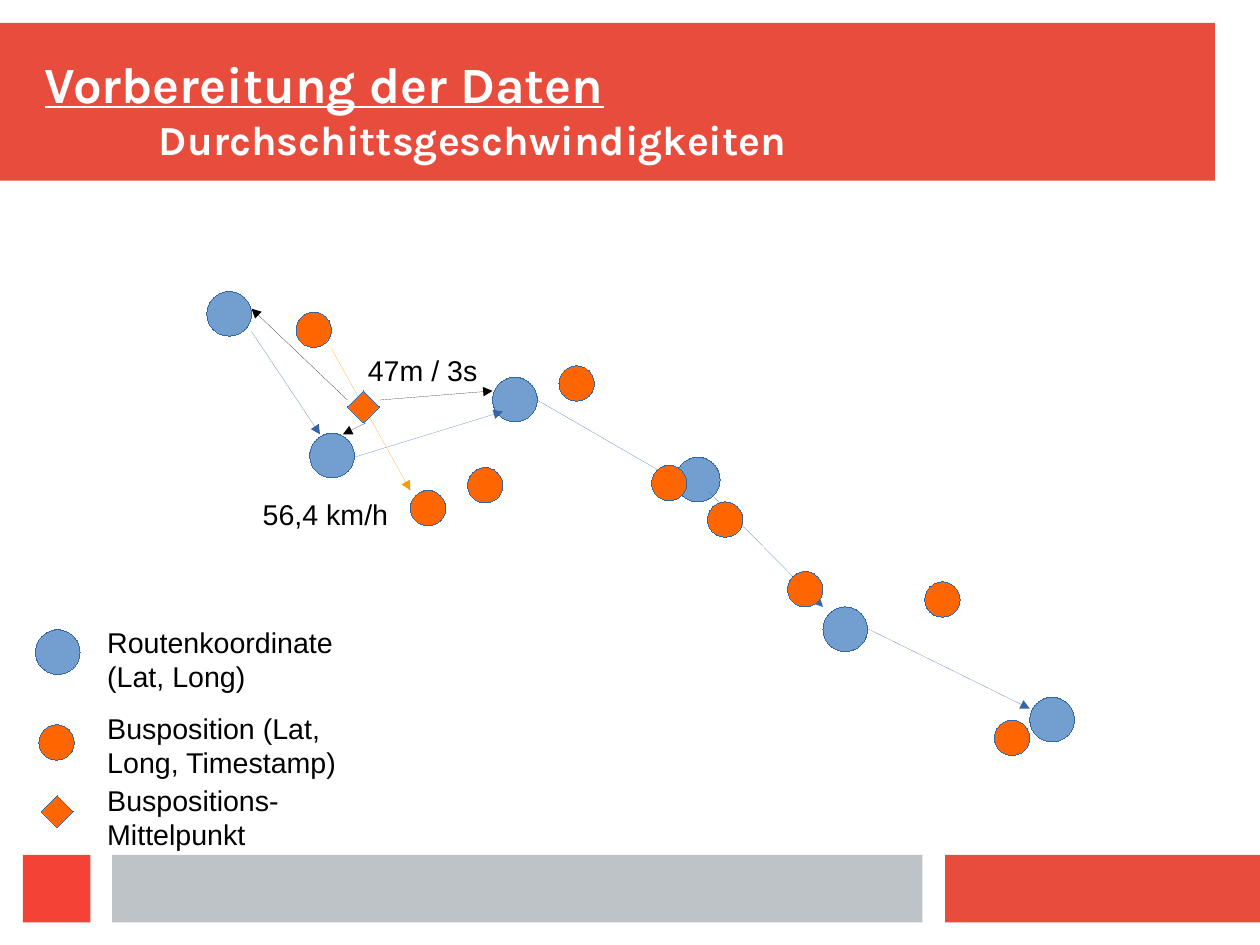
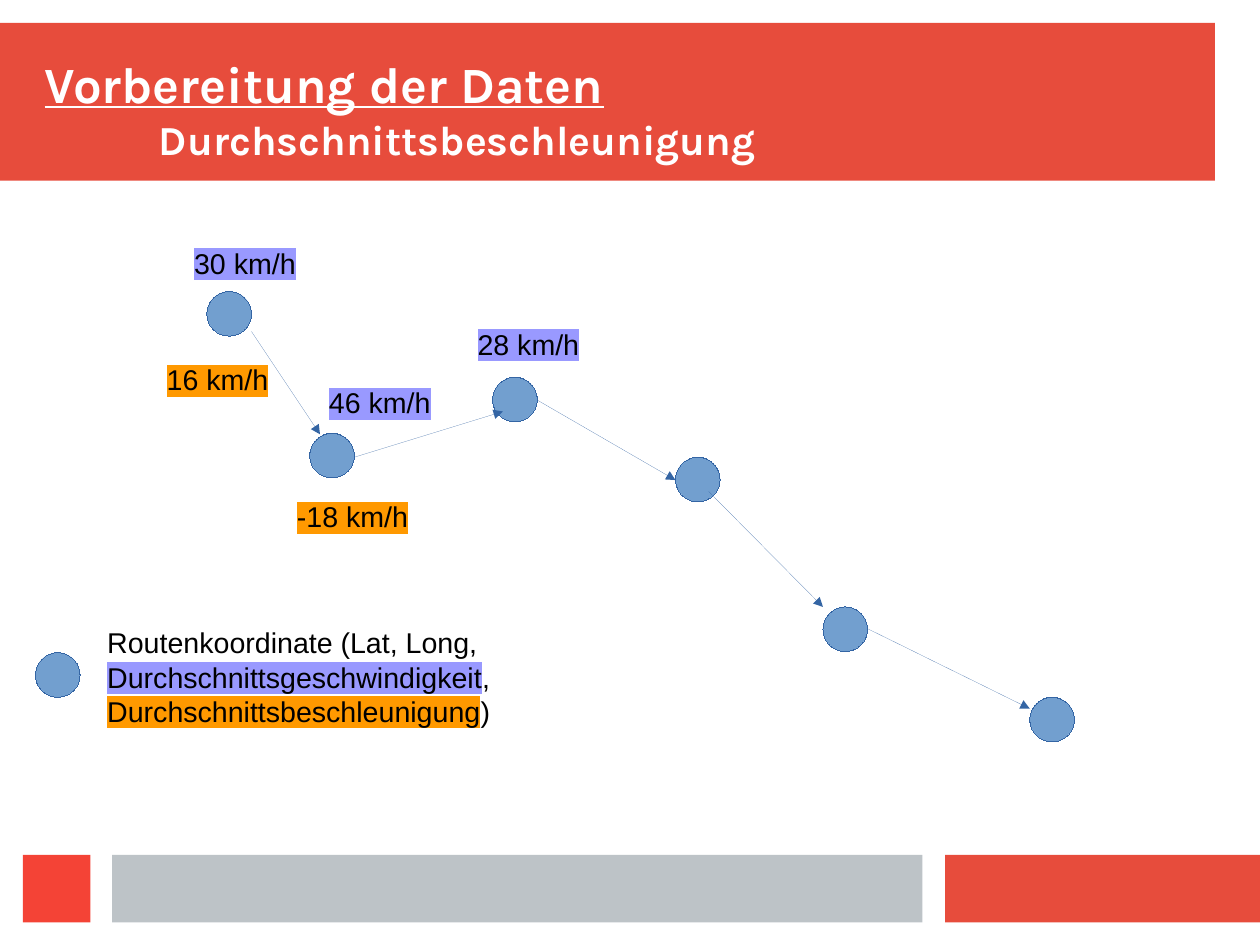
import pptx
import pptx.dml.color
import pptx.enum.shapes
import pptx.enum.text
import pptx.oxml.ns
import pptx.util
from lxml import etree

Inches = pptx.util.Inches
Pt = pptx.util.Pt
qn = pptx.oxml.ns.qn
color = pptx.dml.color.RGBColor.from_string
PRESET = pptx.enum.shapes.MSO_SHAPE

CM_PER_INCH = 2.54
RED, BRIGHT_RED, GREY = "E74C3C", "F44336", "BDC3C7"
BLUE, OUTLINE, ORANGE = "729FCF", "3465A4", "FF6600"
BLACK, WHITE, AMBER, LILAC = "000000", "FFFFFF", "FF9900", "9999FF"
ROUTE_SIZE, BUS_SIZE, MIDPOINT_SIZE = 0.39, 0.31, 0.28
HAIRLINE = "0"

BANDS = [
    (0, 0.2, 10.63, 1.38, RED),
    (8.27, 7.48, 2.76, 0.59, RED),
    (0.98, 7.48, 7.09, 0.59, GREY),
    (0.2, 7.48, 0.59, 0.59, BRIGHT_RED),
]
ROUTE_POINTS = [(1.81, 2.55), (2.71, 3.79), (4.31, 3.3), (5.91, 4), (7.2, 5.31), (9.01, 6.1)]
# Arrows: start x, start y, tip x, tip y, colour
ROUTE_ARROWS = [
    (2.2, 2.9, 2.8, 3.8, OUTLINE),
    (3.1, 4, 4.4, 3.6, OUTLINE),
    (4.7, 3.5, 5.91, 4.2, OUTLINE),
    (6.2, 4.3, 7.2, 5.31, OUTLINE),
    (7.59, 5.5, 9.01, 6.2, OUTLINE),
]
BUS_ARROWS = [
    (2.9, 3.05, 3.59, 4.29, AMBER),
    (3.2, 3.7, 3, 3.8, BLACK),
    (3.04, 3.5, 2.2, 2.7, BLACK),
    (3.32, 3.5, 4.31, 3.42, BLACK),
]
BUS_POINTS = [
    (2.59, 2.73), (3.59, 4.29), (4.09, 4.09), (4.89, 3.2), (5.7, 4.07),
    (6.19, 4.39), (6.89, 5), (8.09, 5.09), (8.7, 6.3),
]

# Texts: left, top, width, height, paragraphs made of (text, highlight) runs
SLIDES = [
    {
        "subtitle": "Durchschittsgeschwindigkeiten",
        "route_key": (0.31, 5.51),
        "arrows": ROUTE_ARROWS + BUS_ARROWS,
        "buses": BUS_POINTS + [(0.34, 6.34)],
        "midpoints": [(3.04, 3.42), (0.36, 6.96)],
        "texts": [
            (0.84, 5.42, 2.5, 0.66, [[("Routenkoordinate (Lat, Long)", None)]]),
            (0.84, 6.17, 2.5, 0.66, [[("Busposition (Lat, Long, Timestamp)", None)]]),
            (0.84, 6.8, 2.5, 0.66, [[("Buspositions-Mittelpunkt", None)]]),
            (3.12, 3.04, 1.2, 0.38, [[("47m / 3s", None)]]),
            (2.2, 4.3, 1.32, 0.38, [[("56,4 km/h", None)]]),
        ],
    },
    {
        "subtitle": "Durchschnittsbeschleunigung",
        "route_key": (0.31, 5.71),
        "arrows": ROUTE_ARROWS,
        "buses": [],
        "midpoints": [],
        "texts": [
            (0.84, 5.42, 3.86, 0.98, [
                [("Routenkoordinate (Lat, Long, ", None),
                 ("Durchschnittsgeschwindigkeit", LILAC), (",", None)],
                [("Durchschnittsbeschleunigung", AMBER), (")", None)],
            ]),
            (1.6, 2.1, 1.2, 0.38, [[("30 km/h", LILAC)]]),
            (2.78, 3.32, 1.2, 0.38, [[("46 km/h", LILAC)]]),
            (4.08, 2.81, 1.2, 0.38, [[("28 km/h", LILAC)]]),
            (1.36, 3.12, 1.2, 0.38, [[("16 km/h", AMBER)]]),
            (2.5, 4.32, 1.2, 0.38, [[("-18 km/h", AMBER)]]),
        ],
    },
]


def add_filled_shape(slide, preset, left, top, width, height, fill, line=None):
    shape = slide.shapes.add_shape(
        preset, Inches(left), Inches(top), Inches(width), Inches(height))
    shape.shadow.inherit = False
    shape.fill.solid()
    shape.fill.fore_color.rgb = color(fill)
    if line:
        shape.line.color.rgb = color(line)
        shape.line._get_or_add_ln().set("w", HAIRLINE)
    else:
        shape.line.fill.background()


def style_paragraph(paragraph, name, size, text_color, bold=False, underline=False):
    font = paragraph.font
    font.name = name
    font.size = Pt(size)
    font.bold = bold
    font.underline = underline
    font.color.rgb = color(text_color)


presentation = pptx.Presentation()
presentation.slide_width = Inches(28 / CM_PER_INCH)
presentation.slide_height = Inches(21 / CM_PER_INCH)

for content in SLIDES:
    slide = presentation.slides.add_slide(presentation.slide_layouts[6])

    for left, top, width, height, fill in BANDS:
        add_filled_shape(slide, PRESET.RECTANGLE, left, top, width, height, fill)

    title_box = slide.shapes.add_textbox(Inches(0.39), Inches(0.34), Inches(10.24), Inches(1.09))
    frame = title_box.text_frame
    frame.word_wrap = True
    frame.vertical_anchor = pptx.enum.text.MSO_ANCHOR.BOTTOM
    frame.margin_left = frame.margin_right = frame.margin_top = frame.margin_bottom = 0
    title = frame.paragraphs[0]
    title.text = "Vorbereitung der Daten"
    style_paragraph(title, "Karla", 32, WHITE, bold=True, underline=True)
    subtitle = frame.add_paragraph()
    subtitle.text = content["subtitle"]
    properties = subtitle._p.get_or_add_pPr()
    properties.set("marL", str(Inches(1)))
    properties.set("indent", "0")
    style_paragraph(subtitle, "Karla", 26, WHITE, bold=True)

    for left, top in ROUTE_POINTS + [content["route_key"]]:
        add_filled_shape(slide, PRESET.OVAL, left, top, ROUTE_SIZE, ROUTE_SIZE, BLUE, OUTLINE)

    for start_x, start_y, tip_x, tip_y, arrow_color in content["arrows"]:
        arrow = slide.shapes.add_connector(
            pptx.enum.shapes.MSO_CONNECTOR.STRAIGHT,
            Inches(start_x), Inches(start_y), Inches(tip_x), Inches(tip_y))
        arrow.line.color.rgb = color(arrow_color)
        outline = arrow.line._get_or_add_ln()
        outline.set("w", HAIRLINE)
        etree.SubElement(outline, qn("a:tailEnd"), type="triangle")
        etree.SubElement(arrow._element.spPr, qn("a:effectLst"))

    for left, top in content["buses"]:
        add_filled_shape(slide, PRESET.OVAL, left, top, BUS_SIZE, BUS_SIZE, ORANGE, OUTLINE)
    for left, top in content["midpoints"]:
        add_filled_shape(
            slide, PRESET.DIAMOND, left, top, MIDPOINT_SIZE, MIDPOINT_SIZE, ORANGE, OUTLINE)

    for left, top, width, height, paragraphs in content["texts"]:
        text_box = slide.shapes.add_textbox(
            Inches(left), Inches(top), Inches(width), Inches(height))
        frame = text_box.text_frame
        frame.word_wrap = True
        for index, runs in enumerate(paragraphs):
            paragraph = frame.add_paragraph() if index else frame.paragraphs[0]
            style_paragraph(paragraph, "Arial", 18, BLACK)
            for text, highlight in runs:
                run = paragraph.add_run()
                run.text = text
                if highlight:
                    marker = etree.SubElement(run._r.get_or_add_rPr(), qn("a:highlight"))
                    etree.SubElement(marker, qn("a:srgbClr"), val=highlight)

presentation.save("out.pptx")
